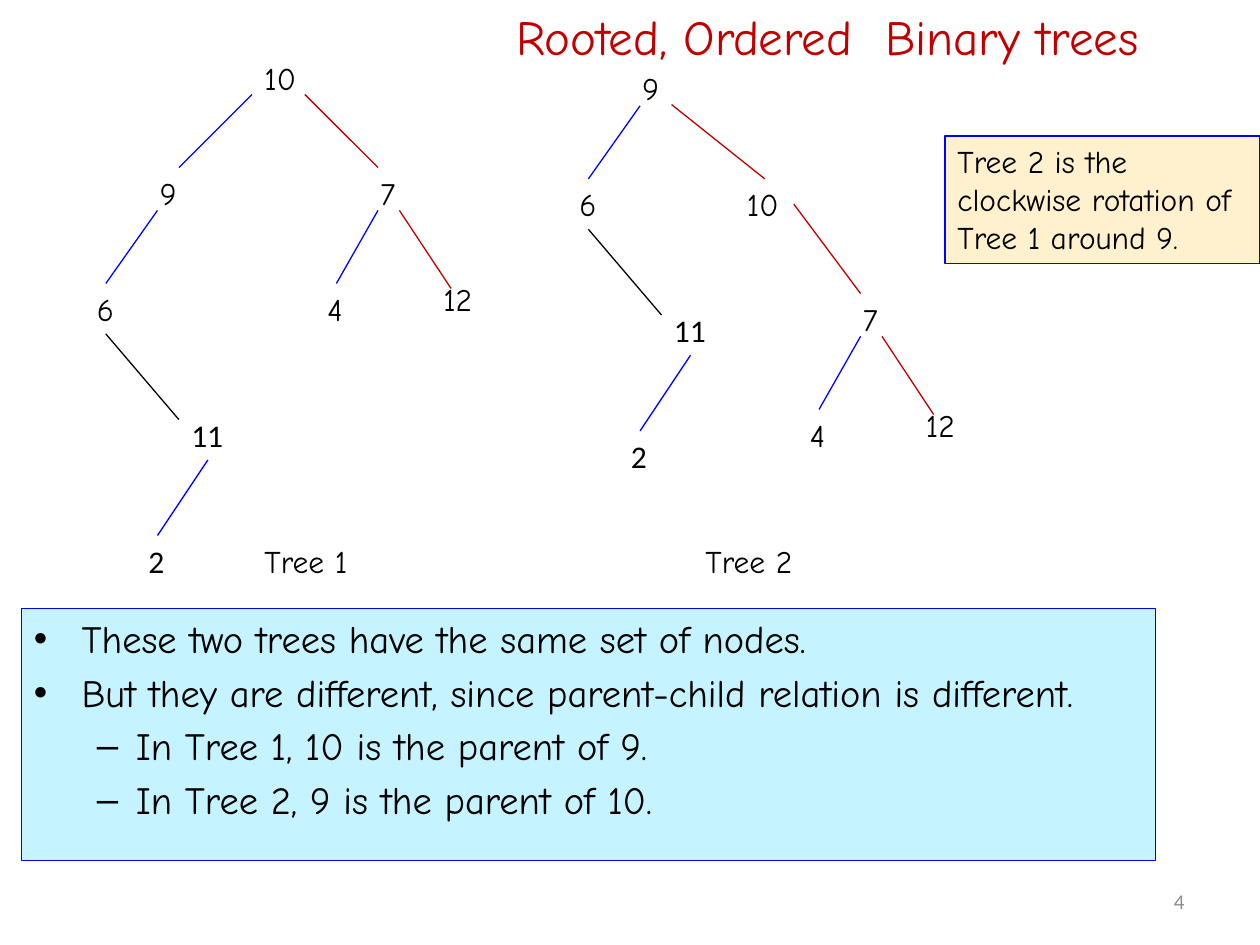
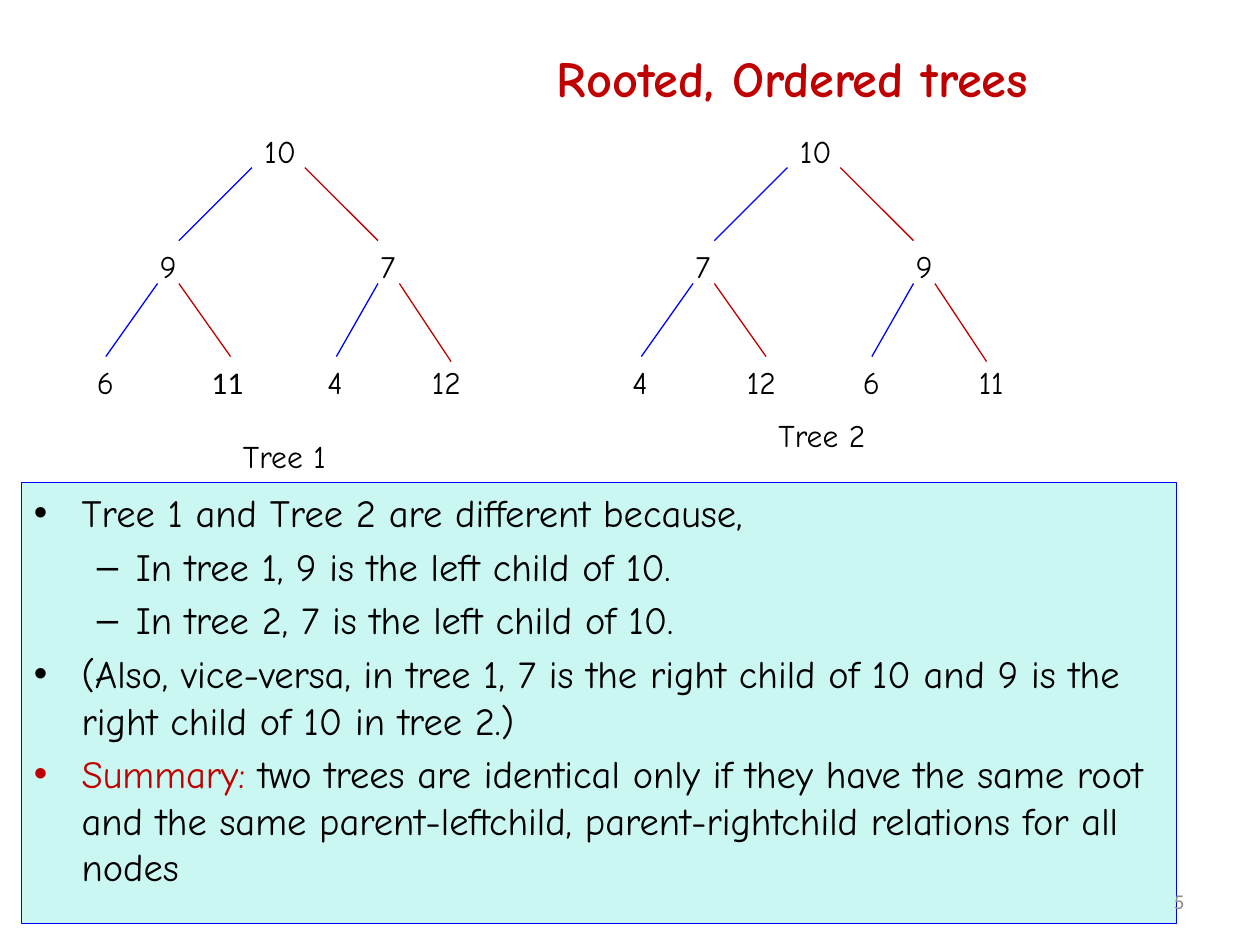
from lxml.etree import SubElement
from pptx import Presentation
from pptx.dml.color import RGBColor
from pptx.enum.shapes import MSO_CONNECTOR as CONN, MSO_SHAPE as SHAPE
from pptx.enum.text import MSO_ANCHOR as ANCHOR, MSO_AUTO_SIZE as AUTO, PP_ALIGN as ALIGN
from pptx.oxml.ns import qn
from pptx.util import Emu, Pt

PX = 9144  # EMU in one px, at 100 px to the inch
COMIC, CALIBRI = "Comic Neue", "Calibri"
BLACK, BLUE, RED, GREY = "000000", "0000FF", "C00000", "8C8C8C"
SKY, MINT, CREAM = "C5F3FF", "CAF7F1", "FFF1CE"

# Box widths that differ from the usual one for their number of digits
NODE_WIDTHS = {("2", CALIBRI): 33, ("11", CALIBRI): 46, ("11", COMIC): 43}
# Bullet, left margin and hanging indent for each level
LEVELS = [("•", 38, -38), ("–", 81, -31)]

# Parts of the trees: nodes (label, x, y, font), edges (colour, x1, y1, x2, y2)
ROOT_NODES = [("10", 200, 42, COMIC)]
ROOT_EDGES = [(BLUE, 200, 75, 142, 133), (RED, 242, 75, 300, 133)]
NINE_NODES = [("9", 117, 133, COMIC), ("6", 67, 225, COMIC),
              ("11", 142, 325, CALIBRI), ("2", 108, 425, CALIBRI)]
NINE_LEFT = (BLUE, 125, 167, 84, 225)
NINE_RIGHT = (RED, 142, 167, 183, 225)
NINE_EDGES = [NINE_LEFT, (BLACK, 84, 265, 142, 333), (BLUE, 165, 365, 125, 425)]
SEVEN_NODES = [("7", 292, 133, COMIC), ("4", 250, 225, COMIC), ("12", 342, 217, COMIC)]
SEVEN_EDGES = [(BLUE, 300, 167, 267, 225), (RED, 317, 167, 358, 229)]
FULL_EDGES = ROOT_EDGES + [NINE_LEFT, NINE_RIGHT] + SEVEN_EDGES


def px(n):
    return Emu(n * PX)


def rgb(color):
    return RGBColor.from_string(color)


class Deck:
    def __init__(self):
        self.prs = Presentation()
        self.prs.slide_width, self.prs.slide_height = px(1000), px(750)
        self.s = None

    def slide(self):
        self.s = self.prs.slides.add_slide(self.prs.slide_layouts[6])

    def run(self, p, text, size=18, color=BLACK, font=COMIC, bold=False):
        r = p.add_run()
        r.text = text
        for name, value in {"size": Pt(size), "name": font, "bold": bold}.items():
            setattr(r.font, name, value)
        r.font.color.rgb = rgb(color)

    def text(self, x, y, w, h, text, align=ALIGN.LEFT, anchor=ANCHOR.TOP, wrap=False, **style):
        sp = self.s.shapes.add_textbox(px(x), px(y), px(w), px(h))
        tf = sp.text_frame
        frame = {"word_wrap": wrap, "vertical_anchor": anchor,
                 "auto_size": AUTO.NONE if wrap else AUTO.SHAPE_TO_FIT_TEXT}
        for name, value in frame.items():
            setattr(tf, name, value)
        p = tf.paragraphs[0]
        p.alignment = align
        self.run(p, text, **style)

    def panel(self, x, y, w, h, fill):
        sp = self.s.shapes.add_shape(SHAPE.RECTANGLE, px(x), px(y), px(w), px(h))
        sp.shadow.inherit = False
        sp.fill.solid()
        sp.fill.fore_color.rgb = rgb(fill)
        sp.line.color.rgb = rgb(BLUE)
        sp.line.width = Pt(0.75)
        tf = sp.text_frame
        tf.word_wrap = True
        tf.vertical_anchor = ANCHOR.TOP
        tf.paragraphs[0].alignment = ALIGN.LEFT
        return tf

    def note(self, x, y, w, h, text):
        self.run(self.panel(x, y, w, h, CREAM).paragraphs[0], text)

    def bullets(self, x, y, w, h, fill, items):
        """Each item is a level and its (text, colour) runs."""
        tf = self.panel(x, y, w, h, fill)
        for i, (level, *runs) in enumerate(items):
            p = tf.add_paragraph() if i else tf.paragraphs[0]
            p.alignment, p.level = ALIGN.LEFT, level
            char, margin, indent = LEVELS[level]
            pPr = p._p.get_or_add_pPr()
            pPr.set("marL", str(px(margin)))
            pPr.set("indent", str(px(indent)))
            SubElement(pPr, qn("a:buFont"), typeface="Arial")
            SubElement(pPr, qn("a:buChar"), char=char)
            if i:
                p.space_before = Pt(4.4)
            for text, color in runs:
                self.run(p, text, size=22, color=color)

    def edge(self, color, x1, y1, x2, y2):
        line = self.s.shapes.add_connector(CONN.STRAIGHT, px(x1), px(y1), px(x2), px(y2))
        line.line.color.rgb = rgb(color)
        line.line.width = Pt(0.75)
        SubElement(line._element.spPr, qn("a:effectLst"))

    def tree(self, nodes, edges, dx=0, dy=0):
        for color, x1, y1, x2, y2 in edges:
            self.edge(color, x1 + dx, y1 + dy, x2 + dx, y2 + dy)
        for label, x, y, font in nodes:
            width = NODE_WIDTHS.get((label, font), 36 if len(label) == 1 else 47)
            self.text(x + dx, y + dy, width, 40, label, font=font)

    def page_number(self, number):
        self.text(717, 695, 233, 40, str(number), ALIGN.RIGHT, ANCHOR.MIDDLE, True,
                  size=12, color=GREY, font=CALIBRI)


def rotation_slide(d):
    d.slide()
    d.bullets(17, 483, 900, 200, SKY, [
        (0, ("These two trees have the same set of nodes.", BLACK)),
        (0, ("But they are different, since parent-child relation is different.", BLACK)),
        (1, ("In Tree 1, 10 is the parent of 9.", BLACK)),
        (1, ("In Tree 2, 9 is the parent of 10.", BLACK))])
    d.page_number(4)

    # Tree 1
    d.tree(ROOT_NODES, ROOT_EDGES)
    d.tree(NINE_NODES, NINE_EDGES)
    d.tree(SEVEN_NODES, SEVEN_EDGES)
    d.text(200, 425, 96, 40, "Tree 1")

    # Tree 2: the same subtrees moved, joined through 10
    d.tree(NINE_NODES, NINE_EDGES, 383, -83)
    d.tree([("10", 583, 142, COMIC)], [(RED, 533, 83, 607, 142), (RED, 630, 162, 683, 233)])
    d.tree(SEVEN_NODES, SEVEN_EDGES, 383, 100)
    d.text(550, 425, 100, 40, "Tree 2")

    d.note(750, 108, 250, 101, "Tree 2 is the clockwise rotation of Tree 1 around 9.")
    d.text(400, 0, 582, 57, "Rooted, Ordered  Binary trees", size=28, color=RED)


def order_slide(d):
    d.slide()
    d.text(308, 30, 642, 62, "Rooted, Ordered trees", ALIGN.CENTER, ANCHOR.MIDDLE, True,
           size=28.8, color=RED, bold=True)
    d.bullets(17, 383, 917, 350, MINT, [
        (0, ("Tree 1 and Tree 2 are different because,", BLACK)),
        (1, ("In tree 1, 9 is the left child of 10.", BLACK)),
        (1, ("In tree 2, 7 is the left child of 10.", BLACK)),
        (0, ("(Also, vice-versa, in tree 1, 7 is the right child of 10 and 9 is the "
             "right child of 10 in tree 2.)", BLACK)),
        (0, ("Summary:", RED),
            (" two trees are identical only if they have the same root and the same "
             "parent-leftchild, parent-rightchild relations for all nodes", BLACK))])
    d.page_number(5)

    # Two full trees of one outline, with the children of 10 swapped
    trees = [(0, ["9", "7"], ["6", "11", "4", "12"], CALIBRI, 333),
             (425, ["7", "9"], ["4", "12", "6", "11"], COMIC, 342)]
    for dx, children, leaves, eleven_font, last_x in trees:
        nodes = ROOT_NODES + [(c, x, 133, COMIC) for c, x in zip(children, (117, 292))]
        nodes += [(leaf, x, 225, eleven_font if leaf == "11" else COMIC)
                  for leaf, x in zip(leaves, (67, 158, 250, last_x))]
        d.tree(nodes, FULL_EDGES, dx, 58)
    d.text(183, 342, 96, 40, "Tree 1")
    d.text(608, 325, 100, 40, "Tree 2")


def main():
    d = Deck()
    rotation_slide(d)
    order_slide(d)
    d.prs.save("out.pptx")


if __name__ == "__main__":
    main()
